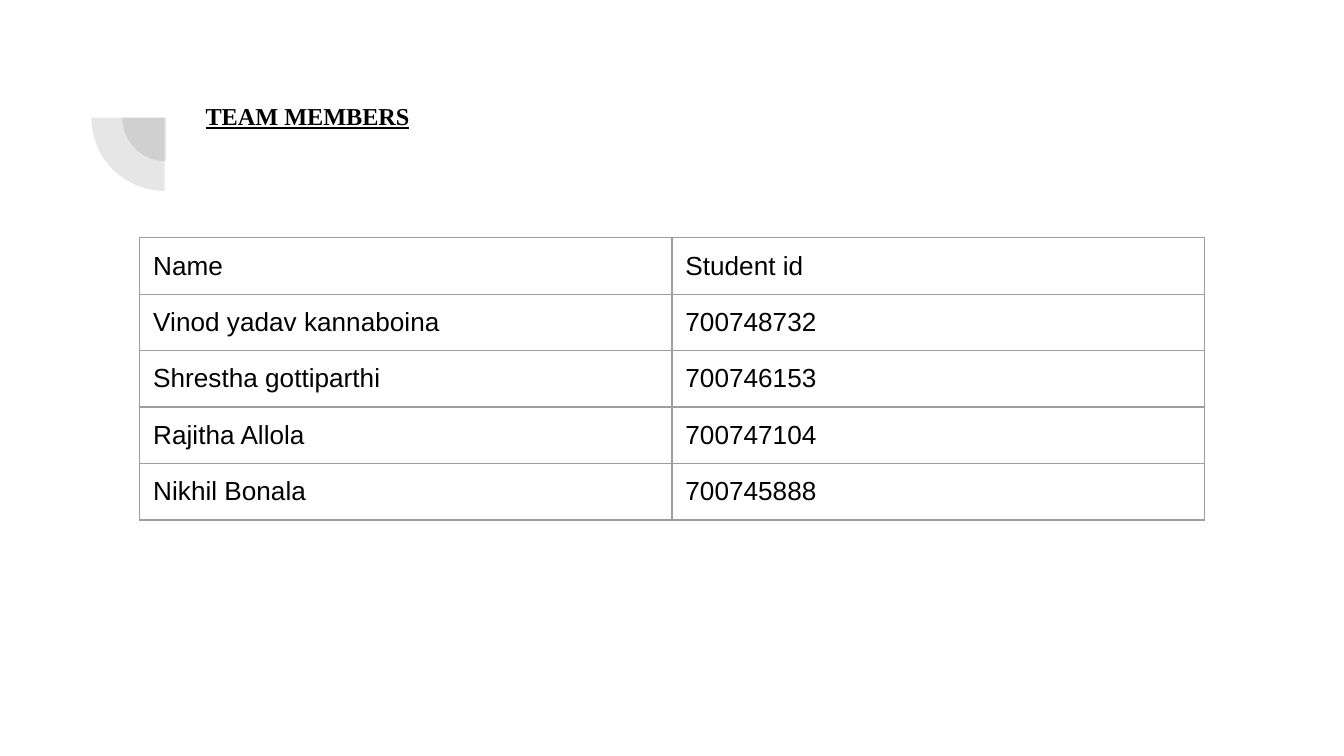
"""Build the team members slide."""
from typing import NamedTuple

from lxml import etree
from pptx import Presentation
from pptx.dml.color import RGBColor
from pptx.enum.shapes import MSO_SHAPE
from pptx.enum.text import MSO_ANCHOR, PP_ALIGN
from pptx.oxml.ns import qn
from pptx.util import Inches, Pt

PIE = MSO_SHAPE.PIE
TOP = MSO_ANCHOR.TOP
LEFT = PP_ALIGN.LEFT

BLACK = RGBColor(0x00, 0x00, 0x00)
DARK = RGBColor(0x42, 0x42, 0x42)
GREY = RGBColor(0x9E, 0x9E, 0x9E)

WIDTH = Inches(10)
HEIGHT = WIDTH * 9 // 16
HEAD = {"name": "Times New Roman", "size": Pt(13), "bold": True, "underline": True}
BODY = {"name": "Arial", "size": Pt(14), "bold": False}
INSET = {side: Inches(0.1) for side in
         ("margin_left", "margin_right", "margin_top", "margin_bottom")}
EDGES = ("a:lnL", "a:lnR", "a:lnT", "a:lnB")


class Wedge(NamedTuple):
    left: float
    top: float
    size: float


class Member(NamedTuple):
    name: str
    code: str


WEDGES = (Wedge(0.91, 0.55, 0.65), Wedge(0.68, 0.33, 1.09))
ROWS = (
    Member("Name", "Student id"),
    Member("Vinod yadav kannaboina", "700748732"),
    Member("Shrestha gottiparthi", "700746153"),
    Member("Rajitha Allola", "700747104"),
    Member("Nikhil Bonala", "700745888"),
)


def apply(target, values: dict) -> None:
    for key, value in values.items():
        setattr(target, key, value)


def write(frame, text: str, style: dict) -> None:
    para = frame.paragraphs[0]
    para.alignment = LEFT
    run = para.add_run()
    run.text = text
    apply(run.font, style)
    run.font.color.rgb = BLACK


def draw_wedge(slide, wedge: Wedge) -> None:
    size = Inches(wedge.size)
    shape = slide.shapes.add_shape(PIE, Inches(wedge.left), Inches(wedge.top), size, size)
    shape.adjustments[0], shape.adjustments[1] = 108, 162
    shape.rotation = 270
    shape.shadow.inherit = False
    shape.line.fill.background()
    shape.fill.solid()
    shape.fill.fore_color.rgb = DARK
    color = next(shape.element.spPr.iter(qn("a:srgbClr")))
    etree.SubElement(color, qn("a:alpha"), val="13000")


def draw_title(slide) -> None:
    title = slide.shapes.title
    apply(title, {"left": Inches(1.43), "top": Inches(0.65),
                  "width": Inches(7.69), "height": Inches(0.6)})
    frame = title.text_frame
    apply(frame, INSET | {"vertical_anchor": TOP, "word_wrap": True})
    write(frame, "TEAM MEMBERS", HEAD)


def set_border(cell) -> None:
    props = cell._tc.get_or_add_tcPr()
    for spot, edge in enumerate(EDGES):
        line = etree.Element(qn(edge), w=str(Pt(0.75)))
        fill = etree.SubElement(line, qn("a:solidFill"))
        etree.SubElement(fill, qn("a:srgbClr"), val=str(GREY))
        props.insert(spot, line)


def draw_table(slide, rows: tuple[Member, ...]) -> None:
    count = len(Member._fields)
    table = slide.shapes.add_table(
        len(rows), count, Inches(1.04), Inches(1.77),
        Inches(3.96 * count), Inches(0.42 * len(rows))).table
    apply(table, {"first_row": False, "horz_banding": False})
    for r, member in enumerate(rows):
        for c, text in enumerate(member):
            cell = table.cell(r, c)
            apply(cell, INSET | {"vertical_anchor": TOP})
            cell.fill.background()
            set_border(cell)
            write(cell.text_frame, text, BODY)


def main() -> None:
    deck = Presentation()
    apply(deck, {"slide_width": WIDTH, "slide_height": HEIGHT})
    slide = deck.slides.add_slide(deck.slide_layouts[5])
    for wedge in WEDGES:
        draw_wedge(slide, wedge)
    draw_title(slide)
    draw_table(slide, ROWS)
    deck.save("out.pptx")


if __name__ == "__main__":
    main()
